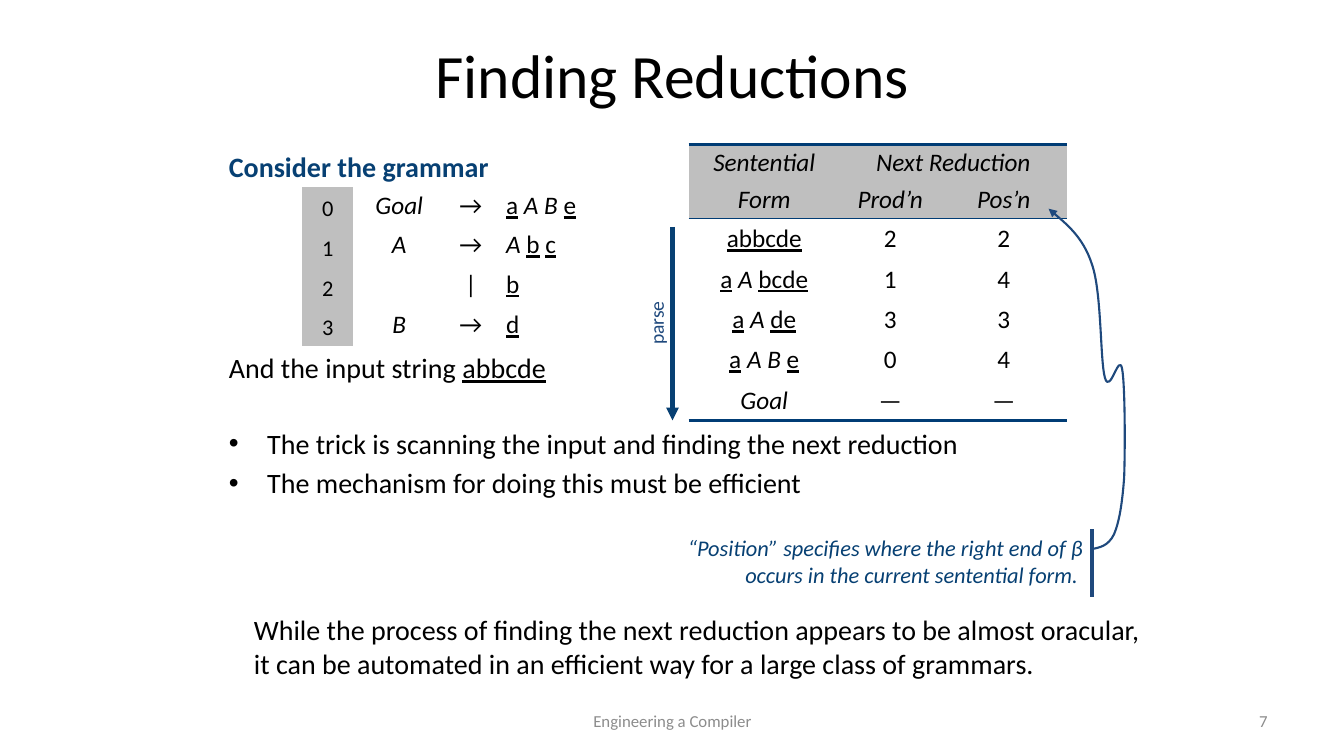
from lxml.etree import SubElement
from pptx import Presentation
from pptx.dml.color import RGBColor
from pptx.enum.shapes import MSO_CONNECTOR
from pptx.enum.text import MSO_ANCHOR, MSO_AUTO_SIZE, PP_ALIGN
from pptx.oxml import parse_xml
from pptx.oxml.ns import nsdecls, qn
from pptx.util import Inches, Pt

COLORS = {"text": "000000", "accent": "074073", "rule": "003C75", "line": "1F497D",
          "shade": "BFBFBF", "paper": "FFFFFF", "footer": "8C8C8C"}
PLAIN_TABLE = "{2D5ABB26-0587-4C30-8999-92F81FD0307C}"
GRAMMAR = [("0", "*Goal*", "→", "_a_ *A B* _e_"),
           ("1", "*A*", "→", "*A* _b_ _c_"),
           ("2", "", "|", "_b_"),
           ("3", "*B*", "→", "_d_")]
REDUCTIONS = [("*Sentential*", "*Next Reduction*", ""),
              ("*Form*", "*Prod’n*", "*Pos’n*"),
              ("_abbcde_", "2", "2"),
              ("_a_ *A* _bcde_", "1", "4"),
              ("_a_ *A* _de_", "3", "3"),
              ("_a_ *A B* _e_", "0", "4"),
              ("*Goal*", "—", "—")]


def rgb(name):
    return RGBColor.from_string(COLORS[name])


def write(p, text, size, color="text", bold=False, align=PP_ALIGN.LEFT):
    """Fill a paragraph; _x_ marks underlined text and *x* italic text."""
    p.alignment = align
    for i, part in enumerate(text.split("_")):
        for j, piece in enumerate(part.split("*")):
            if not piece:
                continue
            r = p.add_run()
            r.text = piece
            f = r.font
            f.name, f.size, f.bold = "Calibri", Pt(size), bold
            f.underline, f.italic = i % 2 == 1, j % 2 == 1
            f.color.rgb = rgb(color)


def add_text(shapes, box, text, size, color="text", align=PP_ALIGN.LEFT,
             anchor=MSO_ANCHOR.TOP):
    tb = shapes.add_textbox(*map(Inches, box))
    tf = tb.text_frame
    tf.word_wrap = True
    tf.vertical_anchor = anchor
    write(tf.paragraphs[0], text, size, color, align=align)
    return tb


def place(sp, box):
    sp.left, sp.top, sp.width, sp.height = map(Inches, box)
    sp.text_frame.auto_size = MSO_AUTO_SIZE.NONE
    return sp.text_frame


def add_title(s, box):
    tf = place(s.shapes.title, box)
    tf.vertical_anchor = MSO_ANCHOR.MIDDLE
    write(tf.paragraphs[0], "Finding Reductions", 44, align=PP_ALIGN.CENTER)


def add_body(s, box):
    tf = place(s.placeholders[1], box)
    items = [("Consider the grammar", 0, False, "accent"),
             ("And the input string _abbcde_", 120, False, "text"),
             ("The trick is scanning the input and finding the next reduction", 30, True, "text"),
             ("The mechanism for doing this must be efficient", 4, True, "text")]
    for i, (text, before, bullet, color) in enumerate(items):
        p = tf.add_paragraph() if i else tf.paragraphs[0]
        p.space_before = Pt(before)
        pPr = p._p.get_or_add_pPr()
        pPr.set("marL", str(Inches(0.38)))
        pPr.set("indent", str(-Inches(0.38)))
        if bullet:
            SubElement(pPr, qn("a:buChar")).set("char", "•")
        else:
            SubElement(pPr, qn("a:buNone"))
        write(p, text, 20, color, bold=color == "accent")


def add_plain_table(s, left, top, widths, heights):
    box = left, top, sum(widths), sum(heights)
    tbl = s.shapes.add_table(len(heights), len(widths), *map(Inches, box)).table
    tbl.first_row = tbl.horz_banding = False
    tbl._tbl.tblPr.find(qn("a:tableStyleId")).text = PLAIN_TABLE
    for col, w in zip(tbl.columns, widths):
        col.width = Inches(w)
    for row, h in zip(tbl.rows, heights):
        row.height = Inches(h)
    return tbl


def fill_cell(cell, text, size, shaded, align=PP_ALIGN.CENTER, spacing=0.9):
    cell.fill.solid()
    cell.fill.fore_color.rgb = rgb("shade" if shaded else "paper")
    p = cell.text_frame.paragraphs[0]
    p.line_spacing = spacing
    write(p, text, size, align=align)


def rule_cell(cell, side, width):
    cell._tc.get_or_add_tcPr().insert(0, parse_xml(
        f'<a:{side} {nsdecls("a")} w="{Pt(width)}"><a:solidFill>'
        f'<a:srgbClr val="{COLORS["rule"]}"/></a:solidFill></a:{side}>'))


def add_grammar(s, left, top):
    tbl = add_plain_table(s, left, top, [0.5, 0.92, 0.5, 1.17], [0.39] * 4)
    for i, row in enumerate(GRAMMAR):
        for j, text in enumerate(row):
            cell = tbl.cell(i, j)
            fill_cell(cell, text, 18 if j else 16, j == 0,
                      PP_ALIGN.LEFT if j == 3 else PP_ALIGN.CENTER)
            if j == 0:
                cell.vertical_anchor = MSO_ANCHOR.BOTTOM


def add_reductions(s, left, top):
    tbl = add_plain_table(s, left, top, [1.5, 1, 1.25], [0.37] * 2 + [0.4] * 5)
    rules = {0: ("lnT", 2.25), 1: ("lnB", 1), 6: ("lnB", 2.25)}
    for i, row in enumerate(REDUCTIONS):
        for j, text in enumerate(row):
            cell = tbl.cell(i, j)
            header = i < 2
            fill_cell(cell, text, 18, header, spacing=0.9 if header else 1.0)
            if i in rules:
                rule_cell(cell, *rules[i])
    tbl.cell(0, 1).merge(tbl.cell(0, 2))


def style_line(line, color, width, arrow=False):
    line.color.rgb = rgb(color)
    line.width = Pt(width)
    if arrow:
        SubElement(line._get_or_add_ln(), qn("a:tailEnd")).set("type", "triangle")


def add_vertical(shapes, x, top, bottom, color, width, arrow=False):
    c = shapes.add_connector(MSO_CONNECTOR.STRAIGHT, *map(Inches, (x, top, x, bottom)))
    style_line(c.line, color, width, arrow)
    SubElement(c._element.spPr, qn("a:effectLst"))


def add_curve(shapes, points, color, width):
    """Draw a start point followed by control-point triples as a Bézier arrow."""
    start, *rest = [(Inches(x), Inches(y)) for x, y in points]
    fb = shapes.build_freeform(*start)
    fb.add_line_segments(rest, close=False)
    sp = fb.convert_to_shape()
    outline = next(sp._element.iter(qn("a:path")))
    segments = outline.findall(qn("a:lnTo"))
    for i in range(0, len(segments), 3):
        bezier = SubElement(outline, qn("a:cubicBezTo"))
        for seg in segments[i:i + 3]:
            bezier.append(seg[0])
            outline.remove(seg)
    sp.fill.background()
    sp.shadow.inherit = False
    style_line(sp.line, color, width, arrow=True)


def add_position_note(s, left, top):
    shapes = s.shapes.add_group_shape().shapes
    add_text(shapes, (left, top, 4.67, 0.64),
             "*“Position” specifies where the right end of β "
             "occurs in the current sentential form. *", 16, "accent", PP_ALIGN.RIGHT)
    bar = left + 4.66
    add_vertical(shapes, bar, top, top + 0.67, "line", 2.25)
    offsets = [(-0.01, 0.2), (0.08, 0.18), (0.16, 0.17), (0.22, 0.05),
               (0.27, -0.07), (0.3, -0.24), (0.32, -0.51),
               (0.33, -0.78), (0.33, -1.43), (0.3, -1.59),
               (0.27, -1.76), (0.18, -1.33), (0.13, -1.5),
               (0.08, -1.67), (0.1, -2.35), (0, -2.63),
               (-0.09, -2.91), (-0.43, -3.18), (-0.43, -3.18)]
    add_curve(shapes, [(bar + dx, top + dy) for dx, dy in offsets], "line", 1.5)


def add_parse_arrow(s, x, top, bottom):
    shapes = s.shapes.add_group_shape().shapes
    add_vertical(shapes, x, top, bottom, "accent", 3, arrow=True)
    middle = (top + bottom) / 2
    label = add_text(shapes, (x - 0.75, middle - 0.17, 1.17, 0.33), "parse", 14,
                     "line", PP_ALIGN.CENTER)
    label.rotation = 270


def add_footer(s, top):
    for left, width, text, align in [(4.56, 4.22, "Engineering a Compiler", PP_ALIGN.CENTER),
                                     (9.56, 3.11, "7", PP_ALIGN.RIGHT)]:
        add_text(s.shapes, (left, top, width, 0.4), text, 12, "footer", align,
                 MSO_ANCHOR.MIDDLE)


def main():
    prs = Presentation()
    prs.slide_width, prs.slide_height = Inches(13.33), Inches(7.5)
    s = prs.slides.add_slide(prs.slide_layouts[1])
    add_title(s, (0.67, 0.3, 12, 0.87))
    add_body(s, (2.17, 1.43, 9, 4.95))
    add_text(s.shapes, (2.42, 6.03, 9.07, 0.77),
             "While the process of finding the next reduction appears to be almost oracular, "
             "it can be automated in an efficient way for a large class of grammars.", 20)
    add_grammar(s, 3, 1.86)
    add_reductions(s, 6.83, 1.43)
    add_position_note(s, 6.17, 5.25)
    add_parse_arrow(s, 6.67, 2.25, 4.17)
    add_footer(s, 6.95)
    prs.save("out.pptx")


if __name__ == "__main__":
    main()
